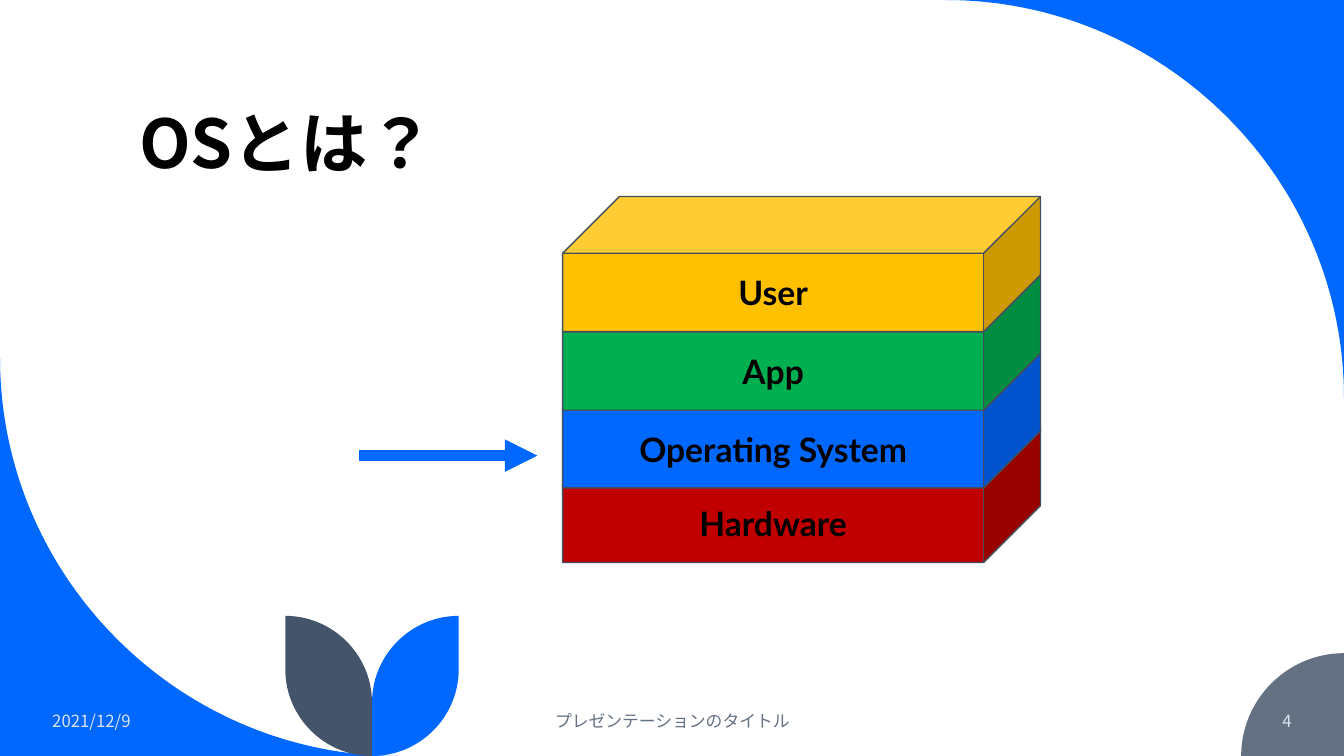
import pptx
import pptx.dml.color
import pptx.enum.lang
import pptx.enum.shapes
import pptx.enum.text
import pptx.oxml.ns
import pptx.util
from lxml import etree

Inches = pptx.util.Inches
ALIGN = pptx.enum.text.PP_ALIGN
ANCHOR = pptx.enum.text.MSO_ANCHOR
LANGUAGE = pptx.enum.lang.MSO_LANGUAGE_ID

COLORS = {
    "blue": "0068FF", "slate": "44546A", "gray": "637183", "pale": "DAE5EF",
    "black": "000000", "edge": "434E5E",
    "red": "C00000", "green": "00B050", "yellow": "FFC000",
}
JAPANESE, LATIN = "Noto Sans CJK JP", "Lato"
WIDTH, HEIGHT = 13.33, 7.5
ARC_RATIO = 0.55


def rgb(name):
    return pptx.dml.color.RGBColor.from_string(COLORS[name])


def add_xml(parent, tag, **attributes):
    return etree.SubElement(parent, pptx.oxml.ns.qn(tag), **attributes)


def toward(point, target):
    """Control point of a quarter circle, on the way from its end to the tangent corner."""
    return tuple(a + ARC_RATIO * (b - a) for a, b in zip(point, target))


def write_text(shape, text, size=12, font=JAPANESE, color="black", bold=False,
               align=ALIGN.LEFT, anchor=ANCHOR.MIDDLE, line_spacing=None, space_after=0):
    frame = shape.text_frame
    frame.word_wrap = True
    frame.auto_size = pptx.enum.text.MSO_AUTO_SIZE.NONE
    frame.vertical_anchor = anchor
    para = frame.paragraphs[0]
    para.alignment = align
    para.line_spacing = line_spacing
    para.space_after = pptx.util.Pt(space_after)
    span = para.add_run()
    span.text = text
    span.font.size = pptx.util.Pt(size)
    span.font.name = font
    span.font.bold = bold
    span.font.color.rgb = rgb(color)
    span.font.language_id = LANGUAGE.JAPANESE if font == JAPANESE else LANGUAGE.ENGLISH_US
    add_xml(span.font._element, "a:ea", typeface=font)


class SlideBuilder:
    def __init__(self, deck):
        self.slide = deck.slides.add_slide(deck.slide_layouts[5])
        self.shapes = self.slide.shapes

    def title(self, text, left, top, width, height):
        box = self.shapes.title
        box.left, box.top, box.width, box.height = map(Inches, (left, top, width, height))
        write_text(box, text, size=48, bold=True, anchor=ANCHOR.BOTTOM, line_spacing=0.9)

    def outline(self, start, steps, color):
        """Filled outline; a step is (None, end) for a line or (corner, end) for a quarter circle."""
        points = [start]
        for corner, end in steps:
            if corner:
                points += [toward(points[-1], corner), toward(end, corner)]
            points.append(end)
        units = [(x * 1000, y * 1000) for x, y in points]
        builder = self.shapes.build_freeform(*units[0], scale=Inches(1) / 1000)
        builder.add_line_segments(units[1:], close=False)
        shape = builder.convert_to_shape()
        segments = list(shape._element.iter(pptx.oxml.ns.qn("a:lnTo")))
        contour = segments[0].getparent()
        for corner, _ in steps:
            count = 3 if corner else 1
            parts, segments = segments[:count], segments[count:]
            if corner:
                curve = add_xml(contour, "a:cubicBezTo")
                parts[0].addprevious(curve)
                for part in parts:
                    curve.append(part[0])
                    contour.remove(part)
        add_xml(contour, "a:close")
        shape.shadow.inherit = False
        shape.fill.solid()
        shape.fill.fore_color.rgb = rgb(color)
        shape.line.fill.background()

    def label(self, text, left, width, **style):
        box = self.shapes.add_textbox(*map(Inches, (left, 6.95, width, 0.4)))
        write_text(box, text, space_after=6, **style)

    def arrow(self, start_x, end_x, y, color, weight):
        line = self.shapes.add_connector(
            pptx.enum.shapes.MSO_CONNECTOR.STRAIGHT, *map(Inches, (start_x, y, end_x, y)))
        line.line.color.rgb = rgb(color)
        line.line.width = pptx.util.Pt(weight)
        add_xml(line.line._get_or_add_ln(), "a:tailEnd", type="triangle")
        add_xml(line._element.spPr, "a:effectLst")

    def layer(self, text, top, color):
        cube = self.shapes.add_shape(
            pptx.enum.shapes.MSO_SHAPE.CUBE, *map(Inches, (5.58, top, 4.74, 1.34)))
        cube.adjustments[0] = 0.42
        cube.shadow.inherit = False
        cube.fill.solid()
        cube.fill.fore_color.rgb = rgb(color)
        cube.line.color.rgb = rgb("edge")
        cube.line.width = pptx.util.Pt(1)
        write_text(cube, text, size=24, font=LATIN, bold=True, align=ALIGN.CENTER)


def add_decoration(page):
    large, small, leaf, stem, leaf_top = 3.95, 1.02, 0.86, 3.69, 6.11
    top_right, bottom_left, bottom_right = (WIDTH, 0), (0, HEIGHT), (WIDTH, HEIGHT)
    page.outline((WIDTH - large, 0), [(top_right, (WIDTH, large)), (None, top_right)], "blue")
    page.outline((0, HEIGHT - large), [(bottom_left, (large, HEIGHT)), (None, bottom_left)], "blue")
    page.outline((WIDTH, HEIGHT - small),
                 [((WIDTH - small, HEIGHT - small), (WIDTH - small, HEIGHT)),
                  (None, bottom_right)], "gray")
    for side, color in [(leaf, "blue"), (-leaf, "slate")]:
        tip = (stem + side, leaf_top)
        page.outline(tip, [(None, (stem + side, HEIGHT - leaf)),
                           ((stem + side, HEIGHT), (stem, HEIGHT)),
                           (None, (stem, leaf_top + leaf)),
                           ((stem, leaf_top), tip)], color)


def main():
    deck = pptx.Presentation()
    deck.slide_width, deck.slide_height = Inches(WIDTH), Inches(HEIGHT)
    page = SlideBuilder(deck)
    add_decoration(page)
    page.title("OSとは？", 1.28, 0.42, 10.69, 1.45)
    page.label("2021/12/9", 0.42, 1.93, color="pale")
    page.label("プレゼンテーションのタイトル", 4.42, 4.5, color="gray", align=ALIGN.CENTER)
    page.label("4", 11.1, 1.81, color="pale", align=ALIGN.RIGHT)
    page.arrow(3.56, 5.33, 4.52, "blue", 7.75)
    for text, top, color in [("Hardware", 4.24, "red"), ("Operating System", 3.5, "blue"),
                             ("App", 2.73, "green"), ("User", 1.95, "yellow")]:
        page.layer(text, top, color)
    deck.save("out.pptx")


if __name__ == "__main__":
    main()
